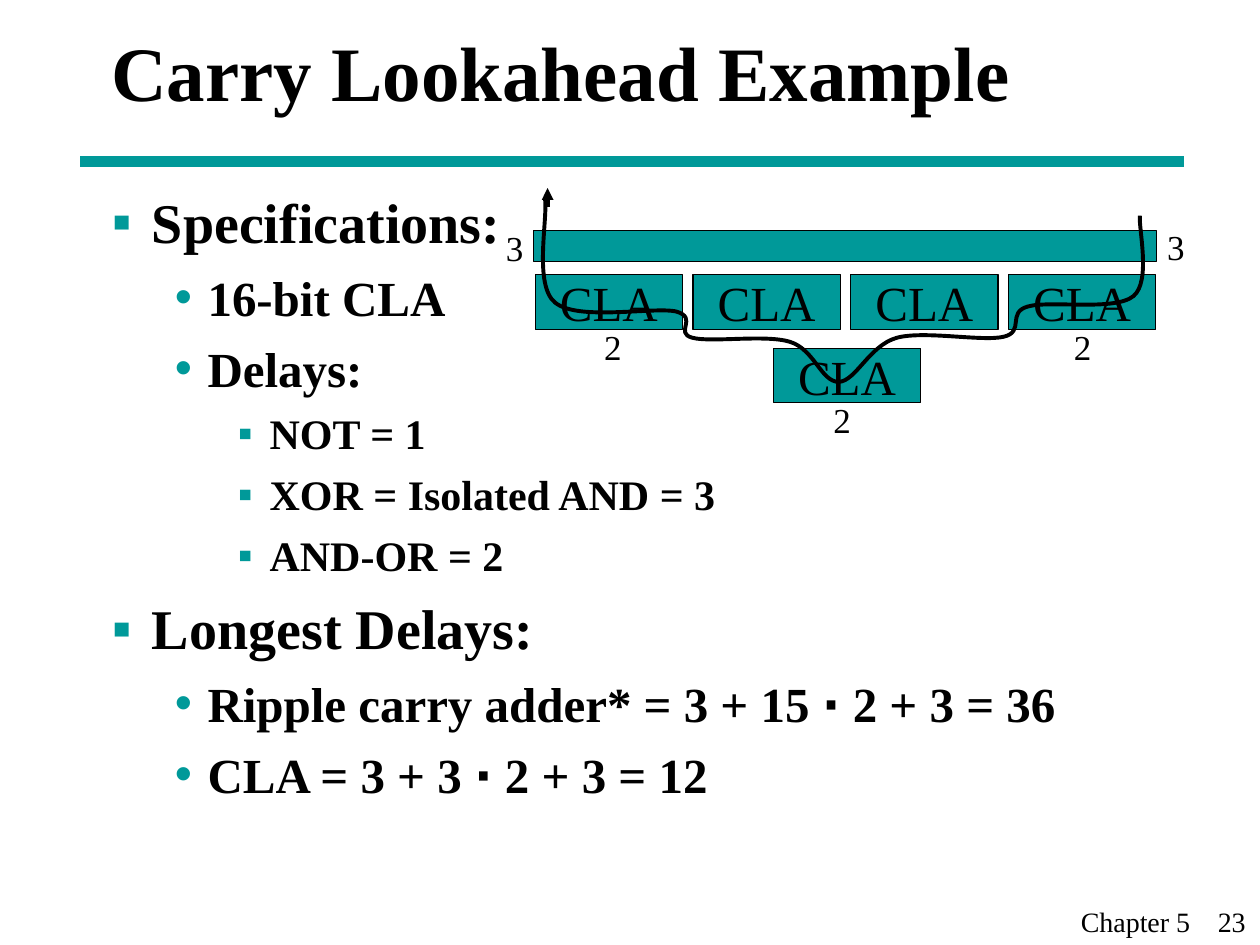
from lxml.etree import SubElement
from pptx import Presentation
from pptx.dml.color import RGBColor
from pptx.enum.shapes import MSO_CONNECTOR, MSO_SHAPE
from pptx.enum.text import MSO_ANCHOR, MSO_AUTO_SIZE, PP_ALIGN
from pptx.oxml.ns import qn
from pptx.util import Cm, Pt

COLORS = {"teal": "009999", "black": "000000"}
FONT = "Times New Roman"
SYMBOL_FONT = "Arial"
DOT = "⋅"

# Per outline level: bullet, left margin (cm), hanging (cm), size (pt)
LEVELS = [("▪", 0.81, 0.81, 32), ("•", 1.93, 0.66, 28), ("▪", 3.18, 0.64, 24)]
OUTLINE = [
    (0, "Specifications:"),
    (1, "16-bit CLA"),
    (1, "Delays:"),
    (2, "NOT = 1"),
    (2, "XOR = Isolated AND = 3"),
    (2, "AND-OR = 2"),
    (0, "Longest Delays:"),
    (1, "Ripple carry adder* = 3 + 15 ⋅ 2 + 3 = 36"),
    (1, "CLA = 3 + 3 ⋅ 2 + 3 = 12"),
]

# Diagram parts, in cm from the diagram's top left corner
CLA_WIDTH, CLA_HEIGHT, CLA_PITCH = 2.97, 1.1, 3.18
DELAYS = [("3", 12.52, 0.64), ("3", -0.81, 0.66), ("2", 5.79, 4.11),
          ("2", 10.64, 2.64), ("2", 1.17, 2.64)]
CARRY_START = (12.22, 0.56)
CARRY_CURVES = [  # two control points and an end point each
    ((12.19, 0.81), (12.45, 1.88), (12.09, 2.18)),
    ((11.71, 2.49), (10.41, 2.26), (9.96, 2.39)),
    ((9.53, 2.51), (9.91, 2.9), (9.47, 3)),
    ((9.04, 3.1), (7.87, 2.87), (7.32, 3.02)),
    ((6.76, 3.18), (6.5, 3.89), (6.15, 3.91)),
    ((5.79, 3.91), (5.66, 3.25), (5.16, 3.1)),
    ((4.67, 2.95), (3.58, 3.12), (3.2, 3.02)),
    ((2.82, 2.92), (3.33, 2.62), (2.87, 2.49)),
    ((2.41, 2.39), (0.89, 2.69), (0.43, 2.31)),
    ((0, 1.96), (0.28, 0.66), (0.23, 0.23)),
]


def rgb(name):
    return RGBColor.from_string(COLORS[name])


def format_runs(paragraph, size, bold=False):
    for run in paragraph.runs:
        run.font.name = SYMBOL_FONT if run.text == DOT else FONT
        run.font.size = Pt(size)
        run.font.bold = bold
        run.font.color.rgb = rgb("black")


def place(shape, left, top, width, height):
    shape.left, shape.top = Cm(left), Cm(top)
    shape.width, shape.height = Cm(width), Cm(height)


def add_line(slide, start, end, color, width):
    line = slide.shapes.add_connector(
        MSO_CONNECTOR.STRAIGHT, *(Cm(value) for value in (*start, *end)))
    line.line.color.rgb = rgb(color)
    line.line.width = Pt(width)
    SubElement(line._element.spPr, qn("a:effectLst"))
    return line


def add_text(slide, text, size, left, top, width, height):
    box = slide.shapes.add_textbox(Cm(left), Cm(top), Cm(width), Cm(height))
    box.text_frame.word_wrap = True
    box.text_frame.text = text
    format_runs(box.text_frame.paragraphs[0], size)
    return box


def add_block(slide, left, top, width, height, text=""):
    block = slide.shapes.add_shape(
        MSO_SHAPE.RECTANGLE, Cm(left), Cm(top), Cm(width), Cm(height))
    block.shadow.inherit = False
    block.fill.solid()
    block.fill.fore_color.rgb = rgb("teal")
    block.line.color.rgb = rgb("black")
    block.line.width = Pt(0.75)
    if text:
        frame = block.text_frame
        frame.text = text
        frame.word_wrap = False
        frame.vertical_anchor = MSO_ANCHOR.MIDDLE
        frame.paragraphs[0].alignment = PP_ALIGN.CENTER
        format_runs(frame.paragraphs[0], 28)


def add_bullet(paragraph, character, margin, hanging):
    properties = paragraph._p.get_or_add_pPr()
    properties.set("marL", str(Cm(margin)))
    properties.set("indent", str(-Cm(hanging)))
    color = SubElement(properties, qn("a:buClr"))
    SubElement(color, qn("a:srgbClr"), val=COLORS["teal"])
    SubElement(properties, qn("a:buFont"), typeface=SYMBOL_FONT)
    SubElement(properties, qn("a:buChar"), char=character)


def build_title(slide, left, top, width, height):
    title = slide.shapes.title
    place(title, left, top, width, height)
    frame = title.text_frame
    frame.text = "Carry Lookahead Example"
    frame.auto_size = MSO_AUTO_SIZE.NONE
    frame.vertical_anchor = MSO_ANCHOR.MIDDLE
    frame.paragraphs[0].alignment = PP_ALIGN.LEFT
    format_runs(frame.paragraphs[0], 44, bold=True)
    # Rule below the title
    add_line(slide, (left - 0.37, top + 3.26), (left + 21.88, top + 3.26), "teal", 6)


def build_outline(slide, left, top, width, height):
    body = slide.placeholders[1]
    place(body, left, top, width, height)
    frame = body.text_frame
    frame.auto_size = MSO_AUTO_SIZE.NONE
    for index, (level, text) in enumerate(OUTLINE):
        paragraph = frame.paragraphs[0] if index == 0 else frame.add_paragraph()
        bullet, margin, hanging, size = LEVELS[level]
        paragraph.level = level
        paragraph.space_before = Pt(size / 4 if index else 0)
        add_bullet(paragraph, bullet, margin, hanging)
        for part in text.partition(DOT):
            if part:
                paragraph.add_run().text = part
        format_runs(paragraph, size, bold=True)


def bend_segments(freeform):
    """Turn each three straight segments into one cubic curve."""
    outline = next(freeform._element.iter(qn("a:path")))
    segments = outline.findall(qn("a:lnTo"))
    for first in range(0, len(segments), 3):
        curve = SubElement(outline, qn("a:cubicBezTo"))
        for segment in segments[first:first + 3]:
            curve.append(segment[0])
            outline.remove(segment)


def add_carry_path(slide, left, top):
    def to_slide(point):
        return Cm(left + point[0]), Cm(top + point[1])

    builder = slide.shapes.build_freeform(*to_slide(CARRY_START))
    builder.add_line_segments(
        [to_slide(point) for curve in CARRY_CURVES for point in curve], close=False)
    carry_path = builder.convert_to_shape()
    bend_segments(carry_path)
    carry_path.shadow.inherit = False
    carry_path.fill.background()
    carry_path.line.color.rgb = rgb("black")
    carry_path.line.width = Pt(2.25)


def build_diagram(slide, left, top, width):
    # Row of adders, the bar above them and the lookahead unit below
    for column in range(4):
        add_block(slide, left + 0.03 + column * CLA_PITCH, top + 1.75,
                  CLA_WIDTH, CLA_HEIGHT, "CLA")
    add_block(slide, left, top + 0.86, width, 0.63)
    add_block(slide, left + 4.83, top + 3.23, CLA_WIDTH, CLA_HEIGHT, "CLA")

    # Delay of each stage
    for text, x, y in DELAYS:
        add_text(slide, text, 20, left + x, top + y, 0.69, 1.12)

    # Carry path and its arrowhead
    arrow = add_line(slide, (left + 0.28, top + 0.38), (left + 0.28, top),
                     "black", 2.25)
    SubElement(arrow.line._get_or_add_ln(), qn("a:tailEnd"), type="triangle")
    add_carry_path(slide, left, top)


def build_footer(slide, left, top, width, height):
    footer = add_text(slide, "Chapter 5\t23", 16, left, top, width, height)
    footer.text_frame.margin_left = Cm(0.94)
    properties = footer.text_frame.paragraphs[0]._p.get_or_add_pPr()
    tabs = SubElement(properties, qn("a:tabLst"))
    SubElement(tabs, qn("a:tab"), pos=str(Cm(2.76)), algn="l")


def main():
    presentation = Presentation()
    presentation.slide_width, presentation.slide_height = Cm(25.4), Cm(19.05)
    slide = presentation.slides.add_slide(presentation.slide_layouts[1])
    build_title(slide, 1.99, 0, 21.59, 2.84)
    build_outline(slide, 2, 3.66, 21.59, 13.97)
    build_diagram(slide, 10.76, 3.79, 12.55)
    build_footer(slide, 20.85, 18.11, 4.52, 0.94)
    presentation.save("out.pptx")


if __name__ == "__main__":
    main()
